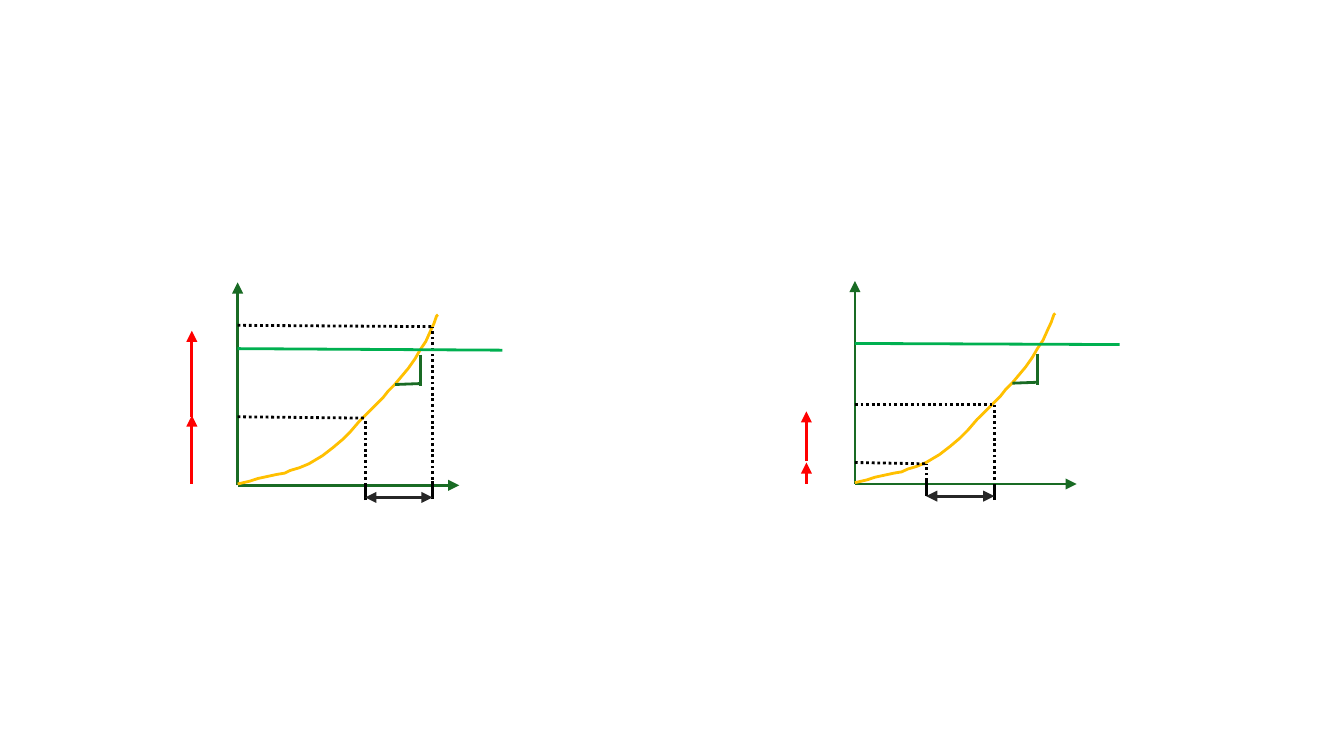
from dataclasses import dataclass

import pptx
import pptx.dml.color
import pptx.enum.dml
import pptx.enum.shapes
import pptx.oxml.ns
import pptx.util
from lxml import etree

Pt = pptx.util.Pt
qn = pptx.oxml.ns.qn


@dataclass(frozen=True)
class Theme:
    axis: str = "196B24"
    curve: str = "FFC000"
    rise: str = "FF0000"
    guide: str = "000000"
    threshold: str = "00B050"
    span: str = "262626"
    width: float = 1.5


theme = Theme()

# Lengths are points; graph coordinates run right and up from each origin.
CURVE = [
    (0, 0.7), (6.5, 2.2), (10.8, 3.6), (20.9, 5.8), (25.2, 6.5), (28.1, 7.9),
    (33.1, 9.4), (38.2, 11.5), (45.4, 15.8), (51.1, 20.2), (56.2, 24.5),
    (60.5, 28.8), (65.5, 34.6), (68.4, 37.4), (72, 41), (77.8, 46.8),
    (80.6, 50.4), (84.2, 54), (91.4, 62.6), (95, 67.7), (97.9, 72.7),
    (100.8, 77), (103.7, 83.5), (105.1, 86.4), (106.6, 90.7), (107.3, 91.4),
]
AXIS_HEIGHT, AXIS_LENGTH = 108.7, 118.8
THRESHOLD_LENGTH = 141.8
SPAN_Y = -6.5

# Each guide: x, height at the axis, height at the curve, foot, tick bottom, tick top
GRAPHS = [
    dict(origin=(127.3, 260), rise_x=-24.5, rises=[(0.7, 37.4), (36.7, 82.8)],
         guides=[(68.4, 36.7, 36, 0, -8, 0.7), (104.4, 85.7, 85, 0, -7.2, 2.2)],
         threshold=(73.2, 72.4)),
    dict(origin=(458, 259.3), rise_x=-26, rises=[(0, 11.5), (12.2, 38.9)],
         guides=[(38.2, 11.5, 10.8, -1.4, -6.5, 2.2), (74.7, 42.5, 42.5, 2.2, -8.6, 0)],
         threshold=(75.3, 74.7)),
]


def add_line(shapes, origin, start, end, color, ends=(), dotted=False):
    """Draw a connector in graph coordinates; ends may hold headEnd and tailEnd."""
    (x0, y0), (x1, y1), (x2, y2) = origin, start, end
    cxn = shapes.add_connector(
        pptx.enum.shapes.MSO_CONNECTOR.STRAIGHT,
        Pt(x0 + x1), Pt(y0 - y1), Pt(x0 + x2), Pt(y0 - y2))
    format_line(cxn.line, color)
    if dotted:
        cxn.line.dash_style = pptx.enum.dml.MSO_LINE.ROUND_DOT
    ln = cxn.line._get_or_add_ln()
    for end_tag in ends:
        etree.SubElement(ln, qn(f"a:{end_tag}"), type="triangle")
    etree.SubElement(cxn._element.spPr, qn("a:effectLst"))


def format_line(line, color):
    line.color.rgb = pptx.dml.color.RGBColor.from_string(color)
    line.width = Pt(theme.width)


prs = pptx.Presentation()
prs.slide_width, prs.slide_height = Pt(720), Pt(405)
s = prs.slides.add_slide(prs.slide_layouts[6])

for graph in GRAPHS:
    origin = x0, y0 = graph["origin"]
    shapes = s.shapes.add_group_shape().shapes

    for end in [(0, AXIS_HEIGHT), (AXIS_LENGTH, 0)]:
        add_line(shapes, origin, (0, 0), end, theme.axis, ["tailEnd"])

    points = [(Pt(x0 + x), Pt(y0 - y)) for x, y in CURVE]
    builder = shapes.build_freeform(*points[0])
    builder.add_line_segments(points[1:], close=False)
    curve = builder.convert_to_shape()
    curve.shadow.inherit = False
    curve.fill.background()
    format_line(curve.line, theme.curve)

    # Slope triangle under the curve
    add_line(shapes, origin, (98, 69.8), (98, 53.3), theme.axis)
    add_line(shapes, origin, (84.4, 54), (98, 54.5), theme.axis)

    for bottom, top in graph["rises"]:
        add_line(shapes, origin, (graph["rise_x"], bottom), (graph["rise_x"], top),
                 theme.rise, ["tailEnd"])

    for x, left, right, foot, tick_bottom, tick_top in graph["guides"]:
        add_line(shapes, origin, (0, left), (x, right), theme.guide, dotted=True)
        add_line(shapes, origin, (x, foot), (x, right), theme.guide, dotted=True)
        add_line(shapes, origin, (x, tick_bottom), (x, tick_top), theme.guide)

for graph in GRAPHS:
    left, right = graph["threshold"]
    add_line(s.shapes, graph["origin"], (0, left), (THRESHOLD_LENGTH, right),
             theme.threshold)

for graph in GRAPHS:
    start, end = [(guide[0], SPAN_Y) for guide in graph["guides"]]
    add_line(s.shapes, graph["origin"], start, end, theme.span, ["headEnd", "tailEnd"])

prs.save("out.pptx")
